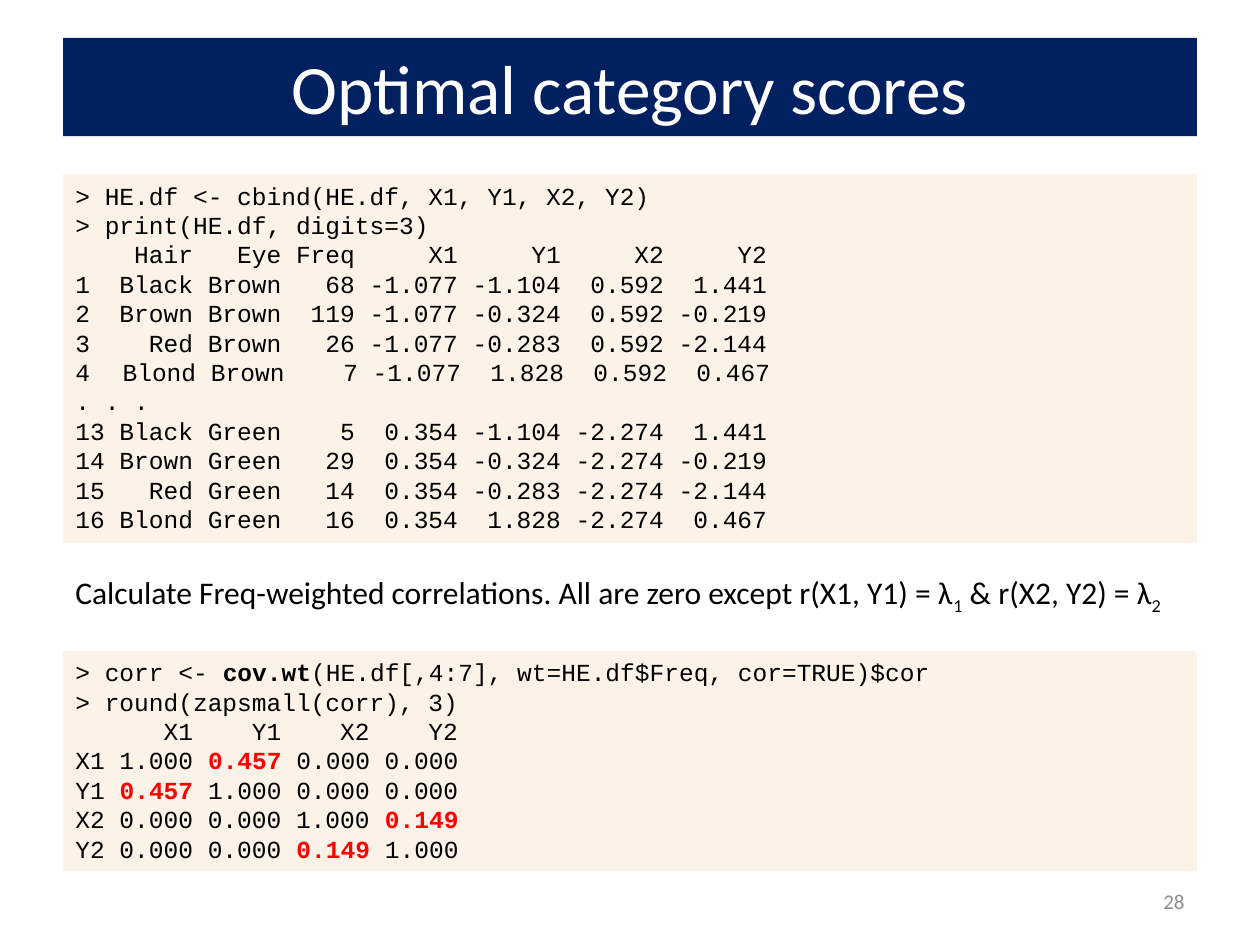
from pptx import Presentation
from pptx.dml.color import RGBColor
from pptx.enum import shapes, text
from pptx.util import Pt
from lxml import etree

NS = "{http://schemas.openxmlformats.org/drawingml/2006/main}"
LEFT, WIDTH = 36, 648
HOT, BOLD, SUB, ITEM = "hot", "bold", "sub", "item"

TITLE = "Optimal category scores"
NUMBER = "28"
# A line is a list of (text, style) runs
SCORES = [[(line, None)] for line in (
    "> HE.df <- cbind(HE.df, X1, Y1, X2, Y2)",
    "> print(HE.df, digits=3)",
    "    Hair   Eye Freq     X1     Y1     X2     Y2",
    "1  Black Brown   68 -1.077 -1.104  0.592  1.441",
    "2  Brown Brown  119 -1.077 -0.324  0.592 -0.219",
    "3    Red Brown   26 -1.077 -0.283  0.592 -2.144",
)] + [[("Blond Brown    7 -1.077  1.828  0.592  0.467", ITEM)]] + [
    [(line, None)] for line in (
        ". . .",
        "13 Black Green    5  0.354 -1.104 -2.274  1.441",
        "14 Brown Green   29  0.354 -0.324 -2.274 -0.219",
        "15   Red Green   14  0.354 -0.283 -2.274 -2.144",
        "16 Blond Green   16  0.354  1.828 -2.274  0.467",
    )]
REMARK = [[
    ("Calculate Freq-weighted correlations. All are zero except r(X1, Y1) = λ", None),
    ("1", SUB), (" & r(X2, Y2) = λ", None), ("2", SUB),
]]
CORR = [
    [("> corr <- ", None), ("cov.wt", BOLD),
     ("(HE.df[,4:7], wt=HE.df$Freq, cor=TRUE)$cor", None)],
    [("> round(zapsmall(corr), 3)", None)],
    [("      X1    Y1    X2    Y2", None)],
    [("X1 1.000 ", None), ("0.457", HOT), (" 0.000 0.000", None)],
    [("Y1 ", None), ("0.457", HOT), (" 1.000 0.000 0.000", None)],
    [("X2 0.000 0.000 1.000 ", None), ("0.149", HOT)],
    [("Y2 0.000 0.000 ", None), ("0.149", HOT), (" 1.000", None)],
]


def paint(part, code):
    """Set a fill's or a font's colour from a hex string."""
    if hasattr(part, "solid"):
        part.solid()
        part = part.fore_color
    else:
        part = part.color
    part.rgb = RGBColor.from_string(code)


def number(para, start):
    """Make the paragraph a numbered item with a hanging indent."""
    props = para._p.get_or_add_pPr()
    props.set("marL", str(Pt(27)))
    props.set("indent", str(-Pt(27)))
    etree.SubElement(props, NS + "buAutoNum", type="arabicPlain", startAt=str(start))


def write(frame, lines, size, face, code="000000", align=text.PP_ALIGN.LEFT):
    frame.word_wrap = True
    for i, line in enumerate(lines):
        para = frame.add_paragraph() if i else frame.paragraphs[0]
        if line[0][1] == ITEM:
            number(para, 4)
        para.alignment = align
        para.font.size, para.font.name = Pt(size), face
        paint(para.font, code)
        for words, style in line:
            run = para.add_run()
            run.text = words
            if style in (HOT, BOLD):
                run.font.bold = True
            if style == HOT:
                paint(run.font, "FF0000")
            if style == SUB:
                run._r.get_or_add_rPr().set("baseline", "-25000")


def panel(slide, top, high, lines):
    """Add a pale code box."""
    box = slide.shapes.add_shape(
        shapes.MSO_SHAPE.RECTANGLE, Pt(LEFT), Pt(top), Pt(WIDTH), Pt(high))
    box.shadow.inherit = False
    box.line.fill.background()
    paint(box.fill, "FDEADA")
    tint = box._element.spPr.find(f"{NS}solidFill/{NS}srgbClr")
    etree.SubElement(tint, NS + "alpha", val="60000")
    box.text_frame.vertical_anchor = text.MSO_ANCHOR.TOP
    write(box.text_frame, lines, 14, "Courier New")


def label(slide, left, top, width, high):
    return slide.shapes.add_textbox(Pt(left), Pt(top), Pt(width), Pt(high)).text_frame


def main():
    deck = Presentation()
    deck.slide_width, deck.slide_height = Pt(720), Pt(540)
    slide = deck.slides.add_slide(deck.slide_layouts[5])

    title = slide.shapes.title
    title.left, title.top, title.width, title.height = Pt(LEFT), Pt(21.6), Pt(WIDTH), Pt(56.2)
    paint(title.fill, "002060")
    title.text_frame.vertical_anchor = text.MSO_ANCHOR.MIDDLE
    write(title.text_frame, [[(TITLE, None)]], 39.6, "Calibri", "FFFFFF",
          text.PP_ALIGN.CENTER)

    panel(slide, 99.6, 210.8, SCORES)
    write(label(slide, LEFT, 324, WIDTH, 29), REMARK, 18, "Calibri")
    panel(slide, 372, 126, CORR)

    page = label(slide, 516, 500.5, 168, 28.75)
    page.vertical_anchor = text.MSO_ANCHOR.MIDDLE
    write(page, [[(NUMBER, None)]], 12, "Calibri", "8C8C8C", text.PP_ALIGN.RIGHT)

    deck.save("out.pptx")


if __name__ == "__main__":
    main()
